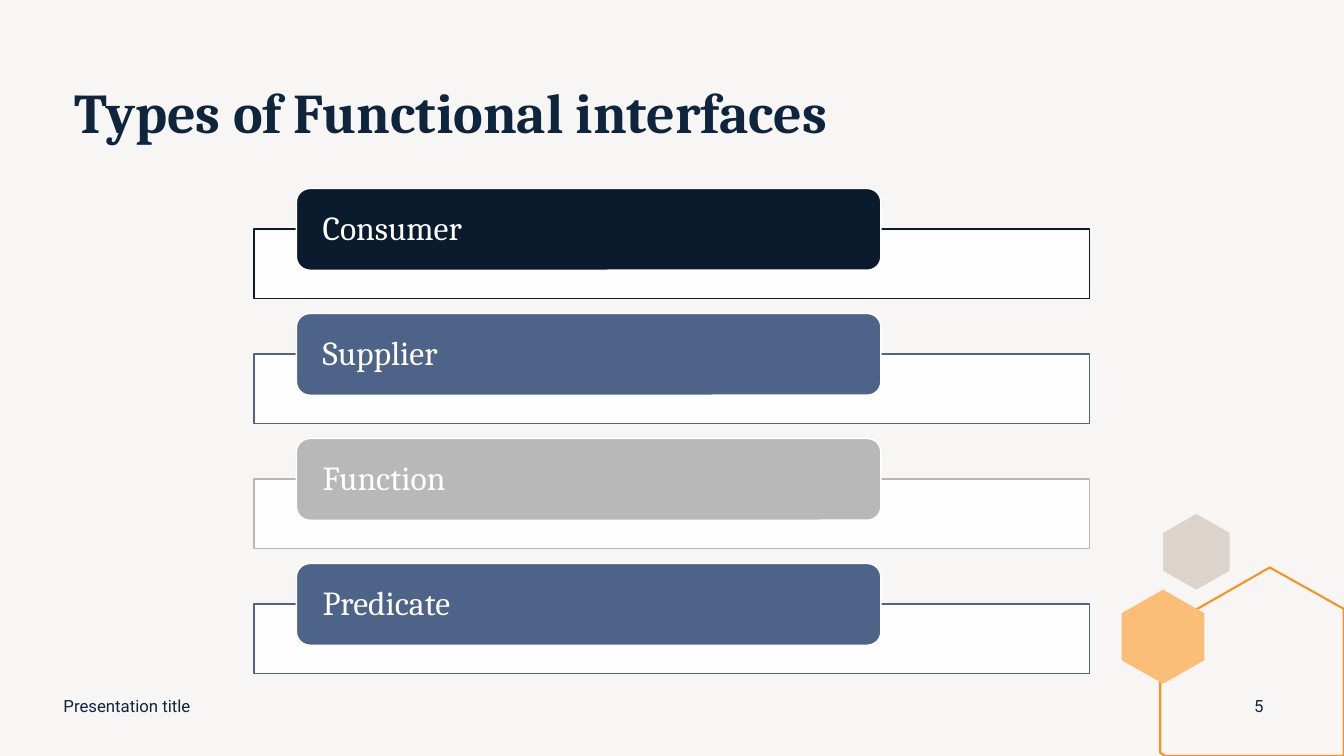
import pptx
import pptx.util
import pptx.dml.color
import pptx.enum.shapes
import pptx.enum.text
import pptx.oxml.ns
from dataclasses import dataclass
from lxml import etree

Cm = pptx.util.Cm
Pt = pptx.util.Pt
RGB = pptx.dml.color.RGBColor.from_string
SHAPE = pptx.enum.shapes.MSO_SHAPE
ANCHOR = pptx.enum.text.MSO_ANCHOR
ALIGN = pptx.enum.text.PP_ALIGN
qn = pptx.oxml.ns.qn


@dataclass(frozen=True)
class Theme:
    background: str = "F8F6F5"
    white: str = "FFFFFF"
    ink: str = "0F253E"
    navy: str = "0B1B2E"
    blue: str = "4D6488"
    gray: str = "B8B8B8"
    sand: str = "DCD3CC"
    peach: str = "FABE79"
    orange: str = "F79320"
    serif: str = "Cambria"
    sans: str = "Roboto"
    title_size: int = 40
    label_size: int = 24
    footer_size: int = 12


theme = Theme()


def style(sp, fill=None, line=None, width=1):
    sp.shadow.inherit = False
    if fill:
        sp.fill.solid()
        sp.fill.fore_color.rgb = RGB(fill)
    else:
        sp.fill.background()
    if line:
        sp.line.color.rgb = RGB(line)
        sp.line.width = Pt(width)
    else:
        sp.line.fill.background()


def write(sp, text, font, size, color, bold=False, anchor=ANCHOR.MIDDLE, align=ALIGN.LEFT, spacing=1.0):
    tf = sp.text_frame
    tf.word_wrap = True
    tf.vertical_anchor = anchor
    p = tf.paragraphs[0]
    p.alignment = align
    p.line_spacing = spacing
    r = p.add_run()
    r.text = text
    r.font.name = font
    r.font.size = Pt(size)
    r.font.bold = bold
    r.font.color.rgb = RGB(color)


prs = pptx.Presentation()
prs.slide_width = Cm(33.87)
prs.slide_height = Cm(19.05)
s = prs.slides.add_slide(prs.slide_layouts[6])
s.background.fill.solid()
s.background.fill.fore_color.rgb = RGB(theme.background)

small_hexagon = [(30.15, 12.95), (30.99, 13.43), (30.99, 14.38), (30.15, 14.86), (29.31, 14.38), (29.31, 13.43)]
large_hexagon = [(32, 14.3), (33.86, 15.34), (33.86, 19.05), (29.36, 19.05), (29.24, 18.97), (29.24, 15.88)]
peach_hexagon = [(29.31, 14.86), (30.35, 15.45), (30.35, 16.64), (29.31, 17.23), (28.27, 16.64), (28.27, 15.45)]
for points, fill, line in [
    (small_hexagon, theme.sand, None),
    (large_hexagon, None, theme.orange),
    (peach_hexagon, theme.peach, None),
]:
    corners = [(Cm(x), Cm(y)) for x, y in points]
    builder = s.shapes.build_freeform(*corners[0])
    builder.add_line_segments(corners[1:], close=True)
    style(builder.convert_to_shape(), fill, line, 1.5)

title = s.shapes.add_textbox(Cm(1.63), Cm(2.01), Cm(30.25), Cm(1.9))
write(title, "Types of Functional interfaces", theme.serif, theme.title_size, theme.ink,
      bold=True, anchor=ANCHOR.TOP, spacing=0.9)

for text, left, width, align in [
    ("Presentation title", 1.35, 11.43, ALIGN.LEFT),
    ("5", 31.09, 1.27, ALIGN.CENTER),
]:
    footer = s.shapes.add_textbox(Cm(left), Cm(17.27), Cm(width), Cm(1.02))
    write(footer, text, theme.sans, theme.footer_size, theme.ink, align=align)

interfaces = [
    ("Consumer", theme.navy),
    ("Supplier", theme.blue),
    ("Function", theme.gray),
    ("Predicate", theme.blue),
]
for i, (name, color) in enumerate(interfaces):
    top = 4.75 + i * 3.15
    panel = s.shapes.add_shape(SHAPE.RECTANGLE, Cm(6.4), Cm(top + 1.02), Cm(21.06), Cm(1.75))
    style(panel, theme.white, color)
    white = panel._element.spPr.find(qn("a:solidFill"))[0]
    etree.SubElement(white, qn("a:alpha")).set("val", "90000")

    label = s.shapes.add_shape(SHAPE.ROUNDED_RECTANGLE, Cm(7.47), Cm(top), Cm(14.73), Cm(2.06))
    style(label, color, theme.white)
    tf = label.text_frame
    tf.margin_left = tf.margin_right = Cm(0.56)
    tf.margin_top = tf.margin_bottom = Cm(0)
    write(label, name, theme.serif, theme.label_size, theme.white, spacing=0.9)

prs.save("out.pptx")
